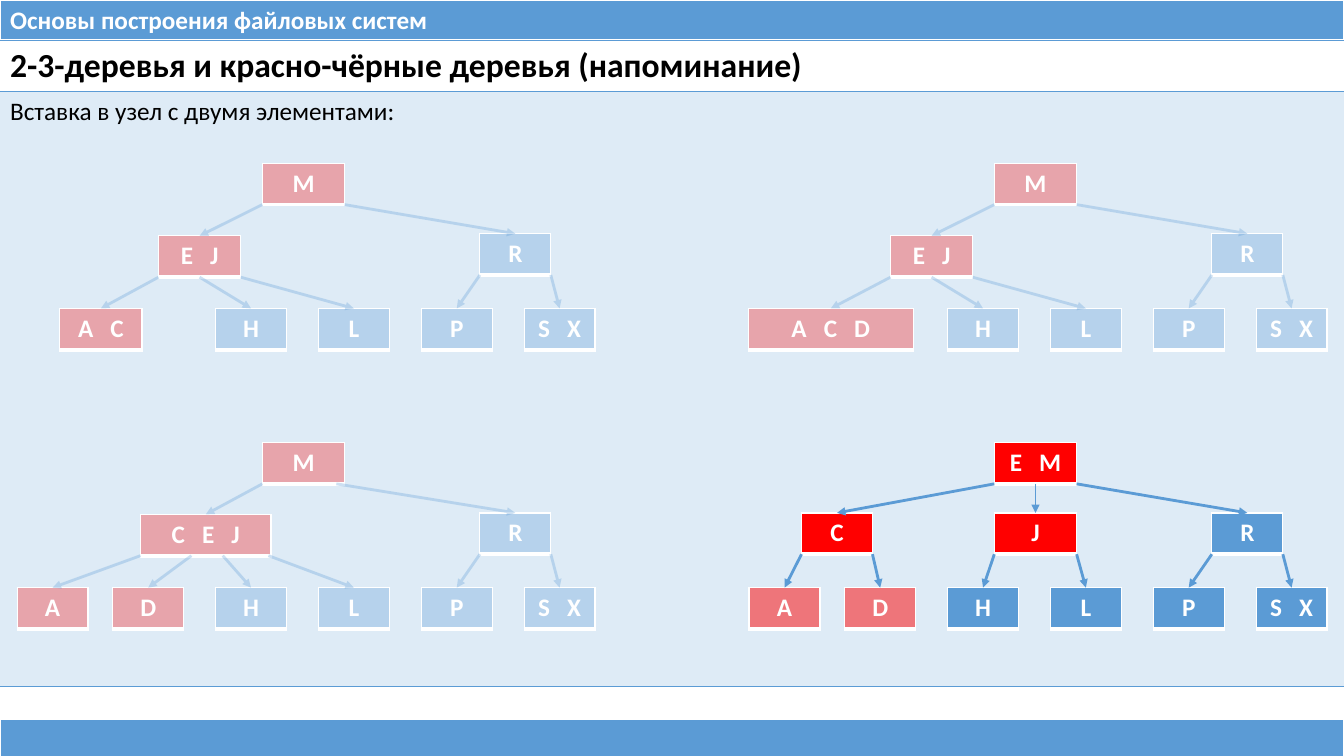
"""Builds a slide showing insertion into a two-element node of a 2-3 tree."""
from lxml import etree
from pptx import Presentation
from pptx.dml.color import RGBColor
from pptx.enum.shapes import MSO_CONNECTOR
from pptx.enum.text import PP_ALIGN
from pptx.oxml.ns import qn
from pptx.util import Inches, Pt

STRAIGHT = MSO_CONNECTOR.STRAIGHT
LEFT, CENTER = PP_ALIGN.LEFT, PP_ALIGN.CENTER
BLUE = RGBColor(0x5B, 0x9B, 0xD5)
RED = RGBColor(0xFF, 0x00, 0x00)
WHITE = RGBColor(0xFF, 0xFF, 0xFF)
BLACK = RGBColor(0x00, 0x00, 0x00)

SLIDE_W, SLIDE_H = 13.33, 7.5
COL, ROW, NODE_H = 1.02, 0.72, 0.41
TREE_LEFT, TREE_RIGHT = 1.47, 8.73
TREE_TOP, TREE_BOTTOM = 1.62, 4.39
ONE, TWO, THREE, WIDE = 0.69, 0.8, 1.27, 1.6
FRAME = {"L": (WHITE, 1), "R": (WHITE, 1), "T": (WHITE, 1), "B": (WHITE, 3)}
RULES = {"L": None, "R": None, "T": (BLUE, 1), "B": (BLUE, 1)}


def fade(element, percent):
    """Makes the solid colour inside the element partly transparent."""
    if percent < 100:
        color = element.find(".//" + qn("a:srgbClr"))
        etree.SubElement(color, qn("a:alpha"), val=str(percent * 1000))


def add_grid(x, y, w, rows, borders):
    """Adds a one-column table with the given rows and cell borders."""
    heights = [row[0] for row in rows]
    table = s.shapes.add_table(len(rows), 1, Inches(x), Inches(y),
                               Inches(w), Inches(sum(heights))).table
    table.first_row = table.horz_banding = False
    for i, (height, text, size, bold, ink, fill, opacity, align) in enumerate(rows):
        table.rows[i].height = Inches(height)
        cell = table.cell(i, 0)
        p = cell.text_frame.paragraphs[0]
        p.text, p.alignment = text, align
        p.font.name, p.font.size, p.font.bold = "Calibri", Pt(size), bold
        p.font.color.rgb = ink
        tc_pr = cell._tc.get_or_add_tcPr()
        if fill is None:
            cell.fill.background()
        else:
            cell.fill.solid()
            cell.fill.fore_color.rgb = fill
            fade(tc_pr, opacity)
        for position, side in enumerate("LRTB"):
            border = borders[side]
            ln = etree.Element(qn("a:ln" + side), w=str(Pt(border[1]) if border else 0))
            if border:
                solid = etree.SubElement(ln, qn("a:solidFill"))
                etree.SubElement(solid, qn("a:srgbClr"), val=str(border[0]))
            else:
                etree.SubElement(ln, qn("a:noFill"))
            tc_pr.insert(position, ln)


prs = Presentation()
prs.slide_width, prs.slide_height = Inches(SLIDE_W), Inches(SLIDE_H)
s = prs.slides.add_slide(prs.slide_layouts[6])

for y, text in ((0, "Основы построения файловых систем"), (7.14, "")):
    add_grid(0, y, SLIDE_W, [(0.4, text, 18, True, WHITE, BLUE, 100, LEFT)], FRAME)
add_grid(0, 0.4, SLIDE_W, [
    (0.51, "2-3-деревья и красно-чёрные деревья (напоминание)",
     24, True, BLACK, None, 100, LEFT),
    (5.9, "Вставка в узел с двумя элементами:", 18, False, BLACK, BLUE, 20, LEFT),
], RULES)

# Node: keys, parent, share of the parent's width where the edge starts, column, row, width, fill, opacity
root = ("M", None, 0, 1.51, 0, TWO, RED, 30)
middle = ("EJ", "M", 0, 0.5, 1, TWO, RED, 30)
trees = [
    (TREE_LEFT, TREE_TOP, 30, "EJ", 0.5, 1, 1, [
        root, middle, ("AC", "EJ", 0, -0.46, 2, TWO, RED, 30)]),
    (TREE_RIGHT, TREE_TOP, 30, "EJ", 0.5, 1, 1, [
        root, middle, ("ACD", "EJ", 0, -0.48, 2, WIDE, RED, 30)]),
    (TREE_LEFT, TREE_BOTTOM, 30, "CEJ", 0.63, 0.98, 0.9, [
        root, ("CEJ", "M", 0, 0.56, 0.99, THREE, RED, 30),
        ("A", "CEJ", 0, -0.93, 2, ONE, RED, 30),
        ("D", "CEJ", 0.39, 0, 2, ONE, RED, 30)]),
    (TREE_RIGHT, TREE_BOTTOM, 100, "J", 0, 1, 1, [
        ("EM", None, 0, 1.51, 0, TWO, RED, 100),
        ("C", "EM", 0, -0.42, 0.97, ONE, RED, 100),
        ("J", "EM", 0.5, 1.51, 0.97, TWO, RED, 100),
        ("A", "C", 0, -0.93, 2, ONE, RED, 50),
        ("D", "C", 1, 0, 2, ONE, RED, 50)]),
]

for left, top, opacity, hl_parent, h_start, l_start, r_start, changed in trees:
    nodes = changed + [
        ("R", changed[0][0], r_start, 3.57, 0.97, ONE, BLUE, opacity),
        ("H", hl_parent, h_start, 1, 2, ONE, BLUE, opacity),
        ("L", hl_parent, l_start, 2, 2, ONE, BLUE, opacity),
        ("P", "R", 0, 3, 2, ONE, BLUE, opacity),
        ("SX", "R", 1, 4, 2, ONE, BLUE, opacity),
    ]
    boxes = {}
    for keys, _, _, col, row, width, fill, strength in nodes:
        x, y, w = left + (col - width / 2) * COL, top + row * ROW, width * COL
        boxes[keys] = x, y, w
        add_grid(x, y, w, [(NODE_H, "   ".join(keys), 18, True, WHITE, fill,
                            strength, CENTER)], FRAME)
    for keys, parent, start, *_ in nodes:
        if parent is None:
            continue
        x, y, w = boxes[keys]
        px, py, pw = boxes[parent]
        edge = s.shapes.add_connector(STRAIGHT, Inches(px + start * pw),
                                      Inches(py + NODE_H), Inches(x + w / 2), Inches(y))
        edge.line.color.rgb = BLUE
        edge.line.width = Pt(0.5 if (parent, keys) == ("EM", "J") else 2)
        ln = edge.line._get_or_add_ln()
        fade(ln, opacity)
        etree.SubElement(ln, qn("a:tailEnd"), type="triangle")
        etree.SubElement(edge._element.spPr, qn("a:effectLst"))

prs.save("out.pptx")
